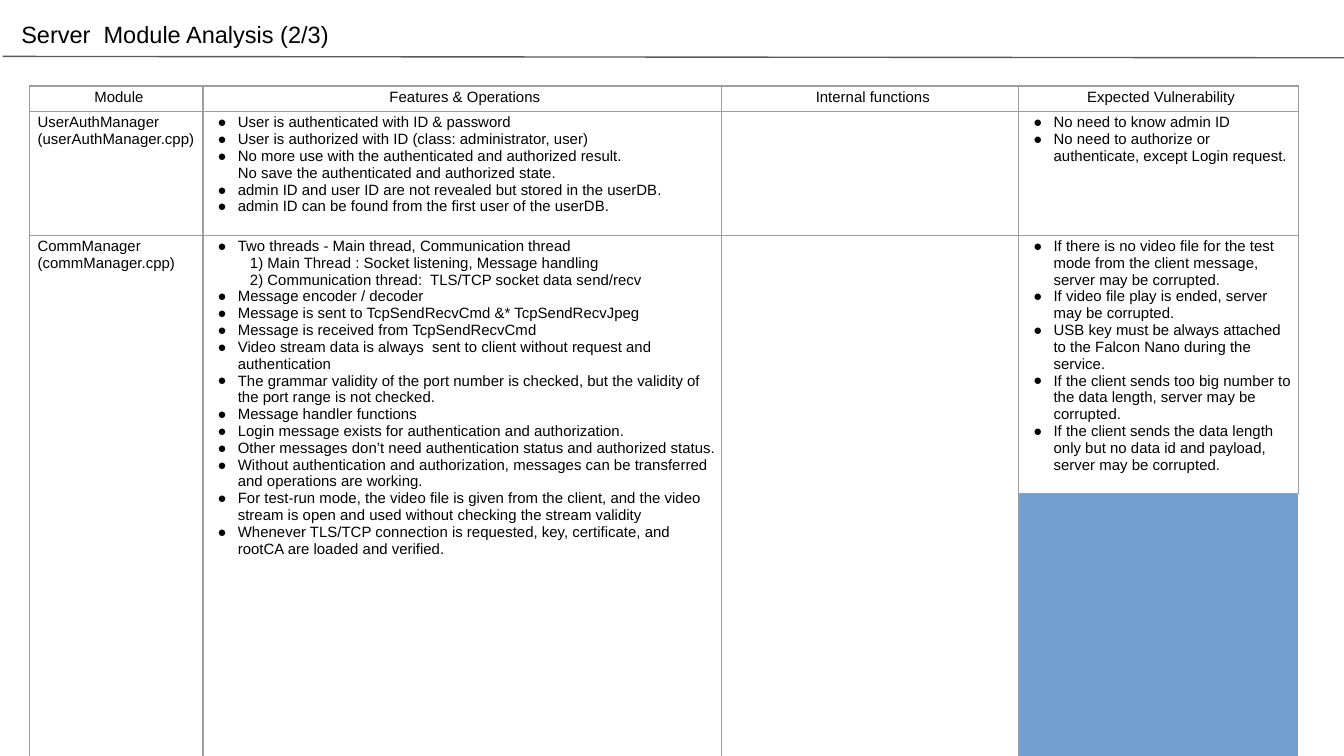
from lxml import etree
from pptx import Presentation
from pptx import util as u
from pptx.dml.color import RGBColor
from pptx.enum import shapes, text
from pptx.oxml import ns

COLORS = {"ink": "000000", "rule": "595959", "grid": "9E9E9E", "blue": "729FCF"}
COLUMNS = [1.29, 3.86, 1.06, 1.15, 2.08]
ROWS = [0.19, 0.92, 1.92, 0.12, 0.14, 0.54, 0.16, 1.95]
HEADERS = {0: "Module", 1: "Features & Operations", 2: "Internal functions",
           4: "Expected Vulnerability"}
MERGES = [(0, 2, 0, 3), (1, 2, 1, 3), (2, 0, 7, 0), (2, 1, 7, 1), (2, 2, 7, 3),
          (2, 4, 7, 4)]
BULLET_INDENT, STEP_INDENT = 0.2, 0.29
MODULES = {1: "UserAuthManager (userAuthManager.cpp)",
           2: "CommManager (commManager.cpp)"}
BULLETS = {
    (1, 1): [
        "User is authenticated with ID & password",
        "User is authorized with ID (class: administrator, user)",
        "No more use with the authenticated and authorized result.",
        ("No save the authenticated and authorized state.", BULLET_INDENT),
        "admin ID and user ID are not revealed but stored in the userDB.",
        "admin ID can be found from the first user of the userDB.",
    ],
    (1, 4): [
        "No need to know admin ID",
        "No need to authorize or authenticate, except Login request.",
    ],
    (2, 1): [
        "Two threads - Main thread, Communication thread",
        ("1) Main Thread : Socket listening, Message handling", STEP_INDENT),
        ("2) Communication thread:  TLS/TCP socket data send/recv", STEP_INDENT),
        "Message encoder / decoder",
        "Message is sent to TcpSendRecvCmd &* TcpSendRecvJpeg",
        "Message is received from TcpSendRecvCmd",
        "Video stream data is always  sent to client without request and authentication",
        "The grammar validity of the port number is checked, but the validity of "
        "the port range is not checked.",
        "Message handler functions",
        "Login message exists for authentication and authorization.",
        "Other messages don’t need authentication status and authorized status.",
        "Without authentication and authorization, messages can be transferred "
        "and operations are working.",
        "For test-run mode, the video file is given from the client, and the video "
        "stream is open and used without checking the stream validity",
        "Whenever TLS/TCP connection is requested, key, certificate, and rootCA "
        "are loaded and verified.",
    ],
    (2, 4): [
        "If there is no video file for the test mode from the client message, "
        "server may be corrupted.",
        "If video file play is ended, server may be corrupted.",
        "USB key must be always attached to the Falcon Nano during the service.",
        "If the client sends too big number to the data length, server may be corrupted.",
        "If the client sends the data length only but no data id and payload, "
        "server may be corrupted.",
    ],
}


def color(name):
    return RGBColor.from_string(COLORS[name])


def add_node(parent, tag, **attributes):
    return etree.SubElement(parent, ns.qn(tag), attributes)


def write(frame, content, size=8, align=None, indent=0, bullet=False):
    first = frame.paragraphs[0]
    paragraph = frame.add_paragraph() if first.runs else first
    paragraph.alignment = align
    run = paragraph.add_run()
    run.text = content
    run.font.name, run.font.size = "Arial", u.Pt(size)
    run.font.color.rgb = color("ink")
    properties = paragraph._p.get_or_add_pPr()
    properties.set("marL", str(u.Inches(indent)))
    properties.set("indent", str(u.Inches(-0.15 if bullet else 0)))
    if bullet:
        add_node(add_node(properties, "a:buClr"), "a:srgbClr", val=COLORS["ink"])
        add_node(properties, "a:buFont", typeface="Arial")
        add_node(properties, "a:buChar", char="●")
    else:
        add_node(properties, "a:buNone")


class SlideBuilder:
    """Draws styled elements on the current slide."""

    def __init__(self, slide):
        self.slide = slide

    def title(self, content, left, top, width, height):
        box = self.slide.shapes.add_textbox(*map(u.Inches, (left, top, width, height)))
        frame = box.text_frame
        frame.word_wrap = True
        frame.vertical_anchor = text.MSO_ANCHOR.MIDDLE
        write(frame, content, size=12.6)

    def line(self, *ends):
        connector = self.slide.shapes.add_connector(
            shapes.MSO_CONNECTOR.STRAIGHT, *map(u.Inches, ends))
        connector.line.color.rgb = color("rule")
        connector.line.width = u.Pt(0.75)
        add_node(connector._element.spPr, "a:effectLst")

    def border(self, cell):
        properties = cell._tc.get_or_add_tcPr()
        for position, side in enumerate(("a:lnL", "a:lnR", "a:lnT", "a:lnB")):
            edge = add_node(properties, side, w=str(u.Pt(0.75)))
            add_node(add_node(edge, "a:solidFill"), "a:srgbClr", val=COLORS["grid"])
            properties.insert(position, edge)

    def table(self, left, top, side, columns, rows, merges):
        area = map(u.Inches, (left, top, side, side))
        holder = self.slide.shapes.add_table(len(rows), len(columns), *area)
        table = holder.table
        table.first_row = table.horz_banding = False
        for column, width in zip(table.columns, columns):
            column.width = u.Inches(width)
        for row, height in zip(table.rows, rows):
            row.height = u.Inches(height)
        holder.width = holder.height = u.Inches(side)
        for row, column, last_row, last_column in merges:
            table.cell(row, column).merge(table.cell(last_row, last_column))
        for cell in table.iter_cells():
            cell.margin_left = u.Inches(0.06)
            cell.margin_top = cell.margin_right = cell.margin_bottom = u.Inches(0.02)
            cell.fill.background()
        return table


def main():
    presentation = Presentation()
    presentation.slide_width = u.Inches(10)
    presentation.slide_height = presentation.slide_width * 9 // 16
    builder = SlideBuilder(presentation.slides.add_slide(presentation.slide_layouts[6]))
    builder.title("Server  Module Analysis (2/3)", 0.06, 0.04, 3.88, 0.42)
    builder.line(0.02, 0.42, 10.01, 0.43)

    table = builder.table(0.22, 0.64, 3.28, COLUMNS, ROWS, MERGES)
    for column, header in HEADERS.items():
        write(table.cell(0, column).text_frame, header, align=text.PP_ALIGN.CENTER)
    for row, module in MODULES.items():
        write(table.cell(row, 0).text_frame, module)
    for (row, column), items in BULLETS.items():
        frame = table.cell(row, column).text_frame
        for item in items:
            if isinstance(item, tuple):
                write(frame, item[0], indent=item[1])
            else:
                write(frame, item, indent=BULLET_INDENT, bullet=True)

    for row in range(3):
        for column in range(len(COLUMNS)):
            if not table.cell(row, column).is_spanned:
                builder.border(table.cell(row, column))
    for row in range(3, len(ROWS)):
        fill = table.cell(row, 4).fill
        fill.solid()
        fill.fore_color.rgb = color("blue")
    presentation.save("out.pptx")


if __name__ == "__main__":
    main()
